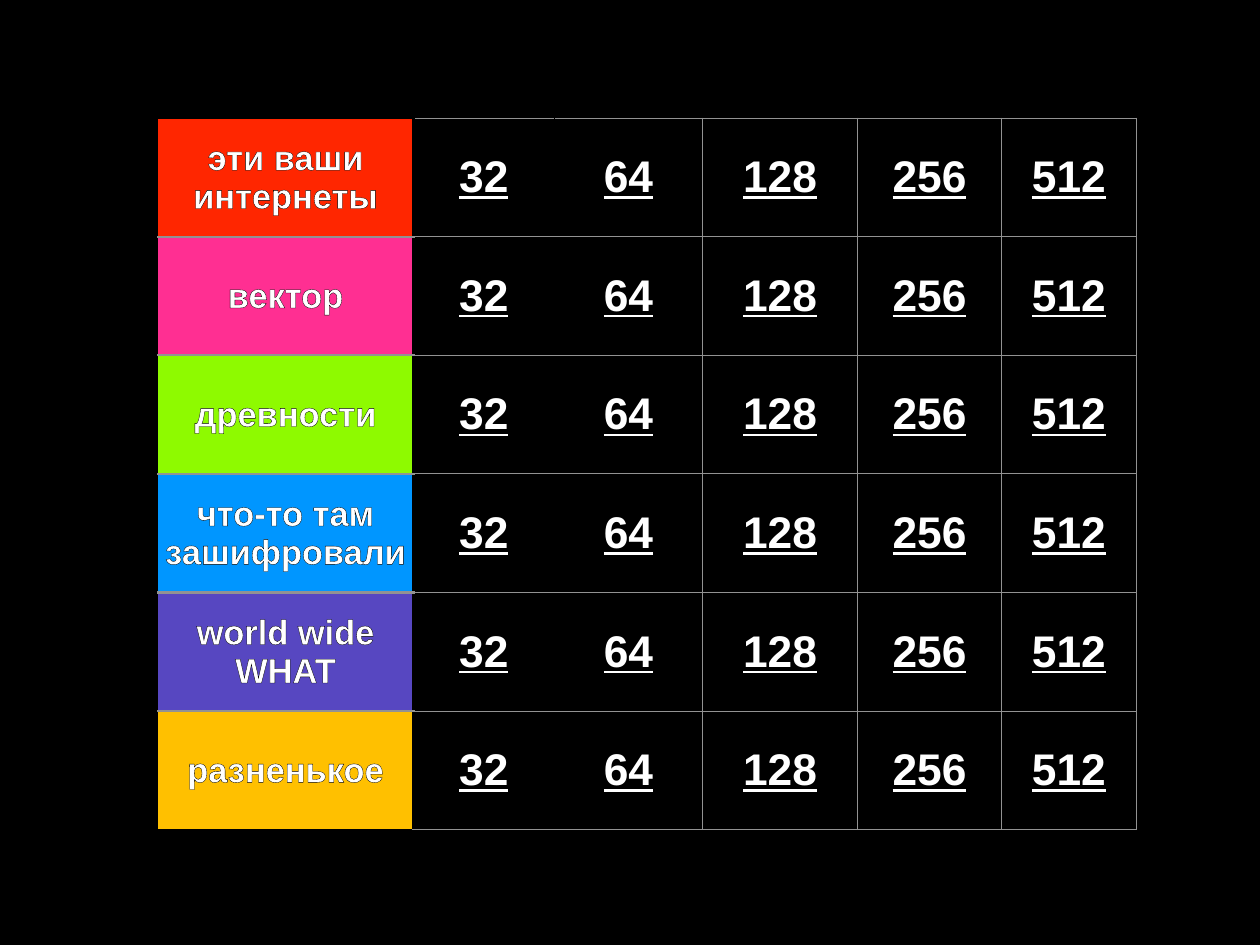
"""Quiz board: six categories by five point values."""
from lxml import etree
from pptx import Presentation
from pptx.dml.color import RGBColor
from pptx.enum.text import MSO_ANCHOR, PP_ALIGN
from pptx.oxml.ns import qn
from pptx.util import Pt

MIDDLE = MSO_ANCHOR.MIDDLE
CENTER = PP_ALIGN.CENTER

BLACK, WHITE, GRAY = "000000", "FFFFFF", "929292"
CATEGORIES = [
    ("эти ваши интернеты", "FF2600"),
    ("вектор", "FF2F92"),
    ("древности", "8EFA00"),
    ("что-то там зашифровали", "0096FF"),
    ("world wide WHAT", "5747C1"),
    ("разненькое", "FFC000"),
]
POINTS = [2 ** power for power in range(5, 10)]
COLUMN_WIDTHS = [208, 114.5, 120.5, 126, 117, 109.5]
ROW_HEIGHT = 96.4
INSET = 4


def color(value):
    return RGBColor.from_string(value)


def line(tag, value, width):
    element = etree.Element(qn(tag), w=str(Pt(width)))
    fill = etree.SubElement(element, qn("a:solidFill"))
    etree.SubElement(fill, qn("a:srgbClr"), val=value)
    return element


class Board:
    def __init__(self, slide, font):
        self.slide = slide
        self.font = font

    def background(self, value):
        fill = self.slide.background.fill
        fill.solid()
        fill.fore_color.rgb = color(value)

    def grid(self, left, top, widths, heights):
        table = self.slide.shapes.add_table(
            len(heights), len(widths), Pt(left), Pt(top),
            Pt(sum(widths)), Pt(sum(heights))).table
        table.first_row = table.horz_banding = False
        for column, width in zip(table.columns, widths):
            column.width = Pt(width)
        for row, height in zip(table.rows, heights):
            row.height = Pt(height)
        return table

    def cell(self, cell, text, size, borders, fill=None, underline=False, outline=None):
        layout = {"vertical_anchor": MIDDLE}
        for side in ("left", "right", "top", "bottom"):
            layout[f"margin_{side}"] = Pt(INSET)
        for name, value in layout.items():
            setattr(cell, name, value)
        if fill:
            cell.fill.solid()
            cell.fill.fore_color.rgb = color(fill)
        else:
            cell.fill.background()
        properties = cell._tc.get_or_add_tcPr()
        for index, side in enumerate("LRTB"):
            properties.insert(index, line(f"a:ln{side}", *borders[side]))

        paragraph = cell.text_frame.paragraphs[0]
        paragraph.alignment = CENTER
        run = paragraph.add_run()
        run.text = text
        style = {"name": self.font, "size": Pt(size), "bold": True, "underline": underline}
        for name, value in style.items():
            setattr(run.font, name, value)
        run.font.color.rgb = color(WHITE)
        if outline:
            run._r.get_or_add_rPr().insert(0, line("a:ln", outline, 0.75))

    def category(self, cell, text, fill, first, last):
        borders = {
            "L": (BLACK, 1),
            "R": (BLACK, 2),
            "T": (BLACK, 1) if first else (GRAY, 2),
            "B": (BLACK, 1) if last else (GRAY, 2),
        }
        self.cell(cell, text, 28, borders, fill=fill, outline=BLACK)

    def points(self, cell, value):
        borders = dict.fromkeys("LRTB", (GRAY, 1))
        if value == POINTS[0]:
            borders.update(L=(BLACK, 2), R=(BLACK, 1))
        elif value == POINTS[1]:
            borders["L"] = (BLACK, 1)
        self.cell(cell, str(value), 36, borders, underline=True)


def main():
    deck = Presentation()
    deck.slide_width, deck.slide_height = Pt(1024), Pt(768)
    board = Board(deck.slides.add_slide(deck.slide_layouts[6]), "Arial")
    board.background(BLACK)
    last = len(CATEGORIES) - 1
    table = board.grid(128, 96, COLUMN_WIDTHS, [ROW_HEIGHT] * len(CATEGORIES))
    for row, (title, fill) in enumerate(CATEGORIES):
        board.category(table.cell(row, 0), title, fill, row == 0, row == last)
        for column, value in enumerate(POINTS, start=1):
            board.points(table.cell(row, column), value)
    deck.save("out.pptx")


if __name__ == "__main__":
    main()
